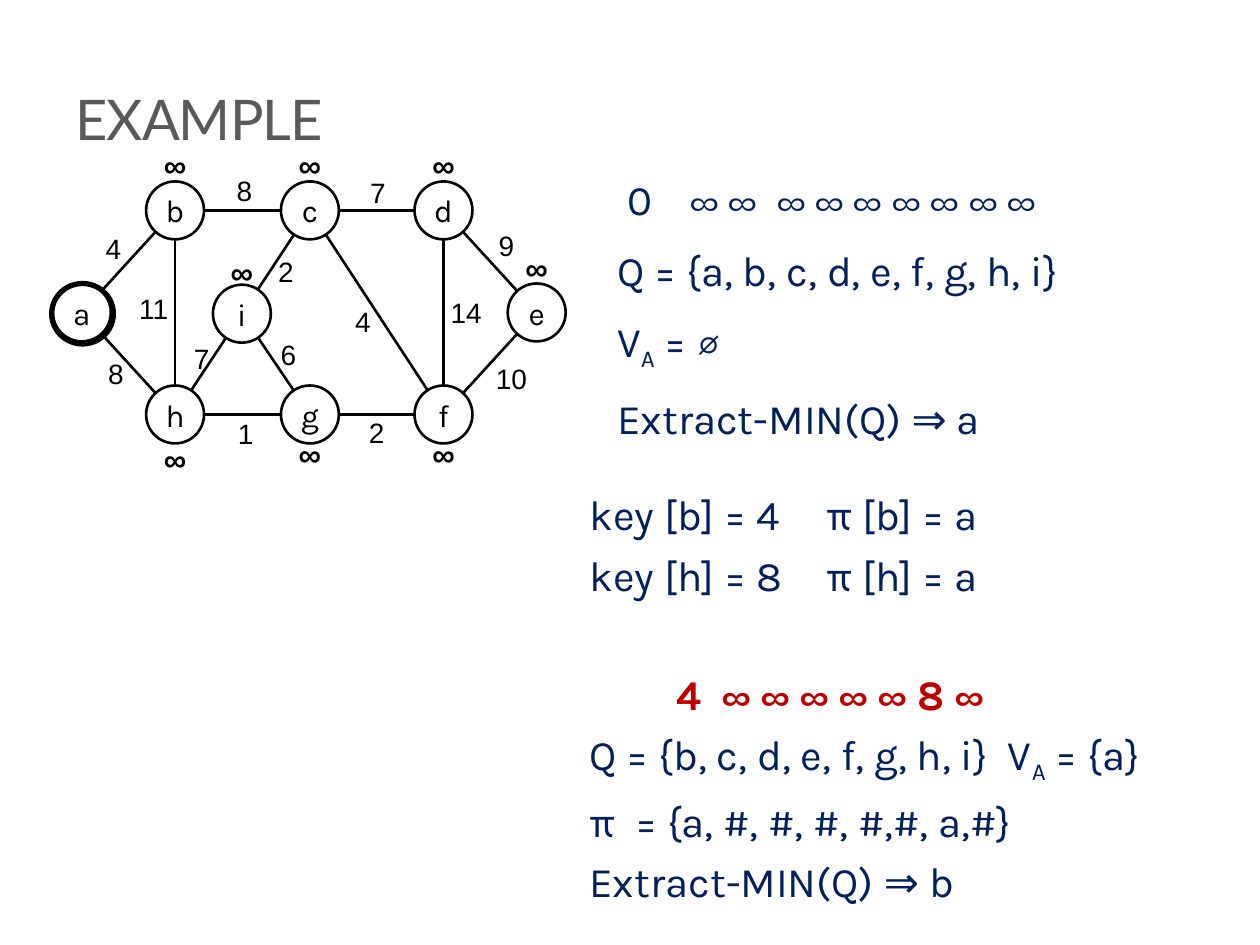
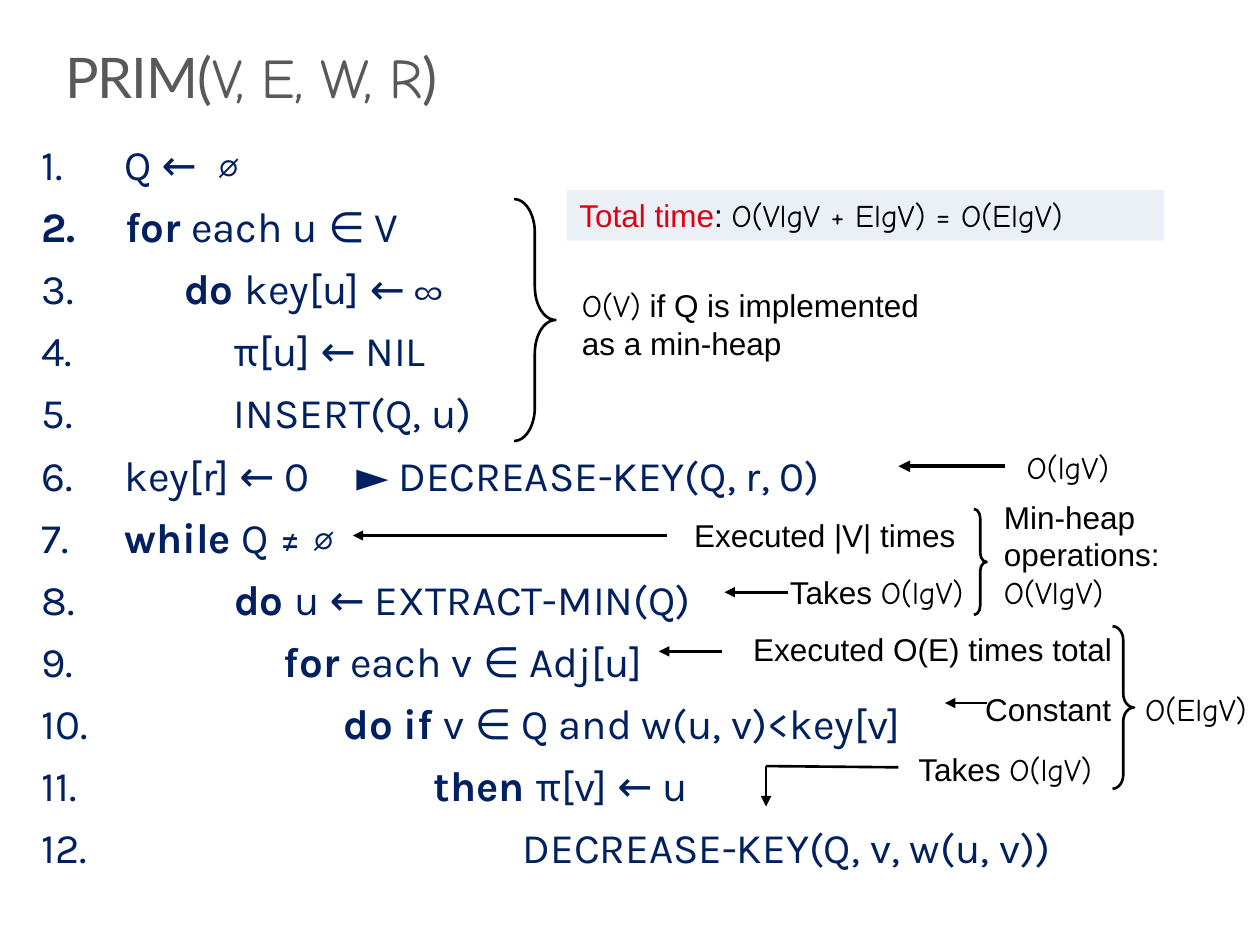
from dataclasses import dataclass, replace
from math import hypot

from lxml.etree import SubElement
from pptx import Presentation
from pptx.dml.color import RGBColor
from pptx.enum.shapes import MSO_CONNECTOR, MSO_SHAPE
from pptx.enum.text import MSO_ANCHOR, PP_ALIGN
from pptx.oxml.ns import qn
from pptx.util import Inches, Pt


@dataclass(frozen=True)
class Style:
    font: str
    size: float
    color: str
    bold: bool = False
    baseline: int = 0
    spacing: int = 0


class Theme:
    ink = "000000"
    panel = "EAF0F6"
    title = Style("Lato", 32, "595959", spacing=-60)
    title_math = replace(title, font="Comic Neue")
    body = Style("Karla", 24, "002060")
    strong = replace(body, bold=True)
    subscript = replace(body, baseline=-25000)
    updated = replace(strong, color="C00000")
    node = Style("Karla", 18, ink)
    weight = Style("Arial", 16, ink)
    key = Style("Arial", 18, ink, bold=True)
    note = Style("Arial", 18, ink)
    note_math = replace(note, font="Comic Neue")
    alert = replace(note, color="DD0111")
    line = 1.5
    heavy_line = 2.25
    root_line = 3


class Deck:
    """Draws styled elements on the current slide of one presentation."""

    def __init__(self, theme):
        self.theme = theme
        self.presentation = Presentation()
        self.presentation.slide_width = Inches(10)
        self.presentation.slide_height = Inches(7.5)
        self.slide = None

    def new_slide(self):
        layout = self.presentation.slide_layouts[6]
        self.slide = self.presentation.slides.add_slide(layout)

    def set_paragraphs(self, text_frame, paragraphs, style, align=PP_ALIGN.LEFT):
        for index, content in enumerate(paragraphs):
            paragraph = text_frame.paragraphs[0] if index == 0 else text_frame.add_paragraph()
            paragraph.alignment = align
            for piece in [content] if isinstance(content, str) else content:
                text, look = (piece, style) if isinstance(piece, str) else piece
                run = paragraph.add_run()
                run.text = text
                run.font.name = look.font
                run.font.size = Pt(look.size)
                run.font.bold = look.bold
                run.font.color.rgb = RGBColor.from_string(look.color)
                properties = run.font._element
                if look.baseline:
                    properties.set("baseline", str(look.baseline))
                if look.spacing:
                    properties.set("spc", str(look.spacing))

    def text(self, box, paragraphs, style, align=PP_ALIGN.LEFT, anchor=MSO_ANCHOR.TOP):
        shape = self.slide.shapes.add_textbox(*map(Inches, box))
        text_frame = shape.text_frame
        text_frame.word_wrap = True
        text_frame.vertical_anchor = anchor
        self.set_paragraphs(text_frame, paragraphs, style, align)
        return text_frame.paragraphs

    def title(self, left, top, content):
        self.text((left, top, 8.17, 1.25), [content], self.theme.title, anchor=MSO_ANCHOR.BOTTOM)

    def label(self, x, y, text, style):
        width, height = 0.46, 0.4
        box = (x - width / 2, y - height / 2, width, height)
        self.text(box, [text], style, PP_ALIGN.CENTER, MSO_ANCHOR.MIDDLE)

    def shape(self, kind, box, fill=None, line=None):
        shape = self.slide.shapes.add_shape(kind, *map(Inches, box))
        shape.shadow.inherit = False
        if fill:
            shape.fill.solid()
            shape.fill.fore_color.rgb = RGBColor.from_string(fill)
        else:
            shape.fill.background()
        if line:
            shape.line.color.rgb = RGBColor.from_string(self.theme.ink)
            shape.line.width = Pt(line)
        else:
            shape.line.fill.background()
        return shape

    def node(self, x, y, name):
        box = (x - RADIUS, y - RADIUS, 2 * RADIUS, 2 * RADIUS)
        text_frame = self.shape(MSO_SHAPE.OVAL, box, line=self.theme.line).text_frame
        text_frame.margin_left = text_frame.margin_right = 0
        text_frame.vertical_anchor = MSO_ANCHOR.MIDDLE
        text_frame.word_wrap = False
        self.set_paragraphs(text_frame, [name], self.theme.node, PP_ALIGN.CENTER)

    def brace(self, box, curve):
        shape = self.shape(MSO_SHAPE.RIGHT_BRACE, box, line=self.theme.line)
        shape.adjustments[0] = curve

    def panel(self, box, content):
        text_frame = self.shape(MSO_SHAPE.RECTANGLE, box, self.theme.panel).text_frame
        text_frame.word_wrap = True
        text_frame.vertical_anchor = MSO_ANCHOR.TOP
        self.set_paragraphs(text_frame, [content], self.theme.note)

    def line(self, start, end, arrow=False, width=None):
        connector = self.slide.shapes.add_connector(
            MSO_CONNECTOR.STRAIGHT, *map(Inches, (*start, *end)))
        connector.line.color.rgb = RGBColor.from_string(self.theme.ink)
        connector.line.width = Pt(width or self.theme.line)
        properties = connector._element.spPr
        if arrow:
            SubElement(properties.find(qn("a:ln")), qn("a:tailEnd"), type="triangle")
        SubElement(properties, qn("a:effectLst"))

    def edge(self, start, end):
        (x1, y1), (x2, y2) = start, end
        length = hypot(x2 - x1, y2 - y1)
        dx, dy = (x2 - x1) * RADIUS / length, (y2 - y1) * RADIUS / length
        self.line((x1 + dx, y1 + dy), (x2 - dx, y2 - dy))

    def indent(self, paragraph, left, first=0.0):
        properties = paragraph._p.get_or_add_pPr()
        properties.set("marL", str(Inches(left)))
        properties.set("indent", str(Inches(first)))
        return properties


RADIUS = 0.23
LEFT, MIDDLE, RIGHT = 1.39, 2.46, 3.52
TOP, CENTER, BOTTOM = 1.67, 2.48, 3.29
NODES = {
    "a": (0.65, CENTER), "b": (LEFT, TOP), "c": (MIDDLE, TOP),
    "d": (RIGHT, TOP), "e": (4.26, CENTER), "f": (RIGHT, BOTTOM),
    "g": (MIDDLE, BOTTOM), "h": (LEFT, BOTTOM), "i": (1.92, 2.49),
}
KEY_OFFSETS = {"b": -0.36, "c": -0.36, "d": -0.36, "e": -0.35,
               "f": 0.31, "g": 0.31, "h": 0.35, "i": -0.33}
EDGES = [
    ("ab", 4, 0.9, 1.97), ("bc", 8, 1.94, 1.51), ("cd", 7, 3, 1.53),
    ("de", 9, 4.02, 1.95), ("ah", 8, 0.92, 2.96), ("bh", 11, 1.22, 2.45),
    ("hg", 1, 1.95, 3.44), ("gf", 2, 2.99, 3.43), ("hi", 7, 1.6, 2.84),
    ("ci", 2, 2.27, 2.15), ("cf", 4, 2.88, 2.55), ("df", 14, 3.7, 2.48),
    ("ef", 10, 4.06, 3), ("ig", 6, 2.29, 2.81),
]


def build_graph(deck):
    theme = deck.theme
    for name, center in NODES.items():
        deck.node(*center, name)
    for ends, weight, x, y in EDGES:
        deck.edge(NODES[ends[0]], NODES[ends[1]])
        deck.label(x, y, str(weight), theme.weight)
    for name, offset in KEY_OFFSETS.items():
        x, y = NODES[name]
        deck.label(x, y + offset, "∞", theme.key)
    deck.shape(MSO_SHAPE.OVAL, (0.41, 2.25, 0.49, 0.48), line=theme.root_line)


def build_example(deck):
    theme = deck.theme
    deck.new_slide()
    deck.title(0.5, 0, "EXAMPLE")
    build_graph(deck)
    initial_state = deck.text((4.8, 1.33, 4.59, 2.27), [
        " 0\t∞ ∞  ∞ ∞ ∞ ∞ ∞ ∞ ∞",
        "Q = {a, b, c, d, e, f, g, h, i}",
        ["V", ("A", theme.subscript), " = ∅"],
        "Extract-MIN(Q) ⇒ a",
    ], theme.body)
    for index, paragraph in enumerate(initial_state):
        paragraph.space_before = Pt(5.6 if index else 0)
        paragraph.space_after = Pt(6)
    tabs = SubElement(initial_state[0]._p.get_or_add_pPr(), qn("a:tabLst"))
    SubElement(tabs, qn("a:tab"), pos=str(Inches(0.58)), algn="l")

    first_step = deck.text((4.58, 3.83, 5.33, 2.92), [
        "key [b] = 4\tπ [b] = a",
        "key [h] = 8\tπ [h] = a",
        [("4  ∞ ∞ ∞ ∞ ∞ 8 ∞", theme.updated)],
        ["Q = {b, c, d, e, f, g, h, i}  V", ("A", theme.subscript), " = {a}"],
        "π  = {a, #, #, #, #,#, a,#}",
        "Extract-MIN(Q) ⇒ b",
    ], theme.body)
    for index, paragraph in enumerate(first_step):
        deck.indent(paragraph, 0.38, -0.38)
        paragraph.space_before = Pt(5.6 if index else 0)
    updated_keys = first_step[2]
    deck.indent(updated_keys, 0.69)
    updated_keys.space_before = Pt(39.3)


def build_code(deck):
    strong = deck.theme.strong
    lines = deck.text((0.23, 1.05, 9.27, 6.12), [
        " Q ←  ∅",
        [(" for ", strong), "each u ∈ V"],
        ["       ", ("do ", strong), "key[u] ← ∞"],
        "            π[u] ← NIL",
        "            INSERT(Q, u)",
        " key[r] ← 0 \t► DECREASE-KEY(Q, r, 0)",
        [" ", ("while ", strong), "Q ≠ ∅"],
        ["            ", ("do ", strong), "u ← EXTRACT-MIN(Q)"],
        ["                 ", ("for ", strong), "each v ∈ Adj[u]"],
        ["                       ", ("do if ", strong), "v ∈ Q and w(u, v)<key[v]"],
        ["                                ", ("then ", strong), "π[v] ← u"],
        "                                         DECREASE-KEY(Q, v, w(u, v))",
    ], deck.theme.body)
    for paragraph in lines:
        paragraph.space_after = Pt(6.7)
        properties = deck.indent(paragraph, 0.58, -0.58)
        SubElement(properties, qn("a:buAutoNum"), type="arabicPeriod")


def build_prim(deck):
    theme = deck.theme
    deck.new_slide()
    deck.title(0.42, -0.33, ["PRIM(", ("V, E, W, R", theme.title_math), ")"])
    build_code(deck)

    takes_log = ["Takes ", ("O(lgV)", theme.note_math)]
    notes = [
        (4.52, 2.22, 3.14, [[("O(V)", theme.note_math), " if Q is implemented as a min-heap"]]),
        (8.05, 3.51, 1.2, [[("O(lgV)", theme.note_math)]]),
        (5.41, 4.05, 2.35, ["Executed |V| times"]),
        (6.17, 4.5, 1.78, [takes_log]),
        (7.87, 3.9, 1.8, ["Min-heap operations:", [("O(VlgV)", theme.note_math)]]),
        (5.88, 4.95, 3.06, ["Executed O(E) times total"]),
        (7.72, 5.43, 1.28, ["Constant"]),
        (7.19, 5.9, 1.78, [takes_log]),
        (8.99, 5.43, 1.18, [[("O(ElgV)", theme.note_math)]]),
    ]
    for left, top, width, paragraphs in notes:
        deck.text((left, top, width, 0.4), paragraphs, theme.note)

    deck.panel((4.5, 1.51, 4.74, 0.4), [
        ("Total time", theme.alert), ": ", ("O(VlgV + ElgV) = O(ElgV)", theme.note_math)])

    deck.brace((4.08, 1.58, 0.33, 1.92), 0.805)
    deck.brace((7.73, 4.04, 0.1, 0.84), 0.723)
    deck.brace((8.83, 4.97, 0.17, 1.29), 0.644)

    for start, end, y in [(5.29, 2.8, 4.25), (6.25, 5.75, 4.7),
                          (5.73, 5.23, 5.17), (7.83, 7.5, 5.58)]:
        deck.line((start, y), (end, y), arrow=True)
    deck.line((7.98, 3.7), (7.13, 3.7), arrow=True, width=theme.heavy_line)
    deck.line((6.08, 6.08), (7.13, 6.09))
    deck.line((6.08, 6.08), (6.08, 6.4), arrow=True)


def main():
    deck = Deck(Theme())
    build_example(deck)
    build_prim(deck)
    deck.presentation.save("out.pptx")


if __name__ == "__main__":
    main()
